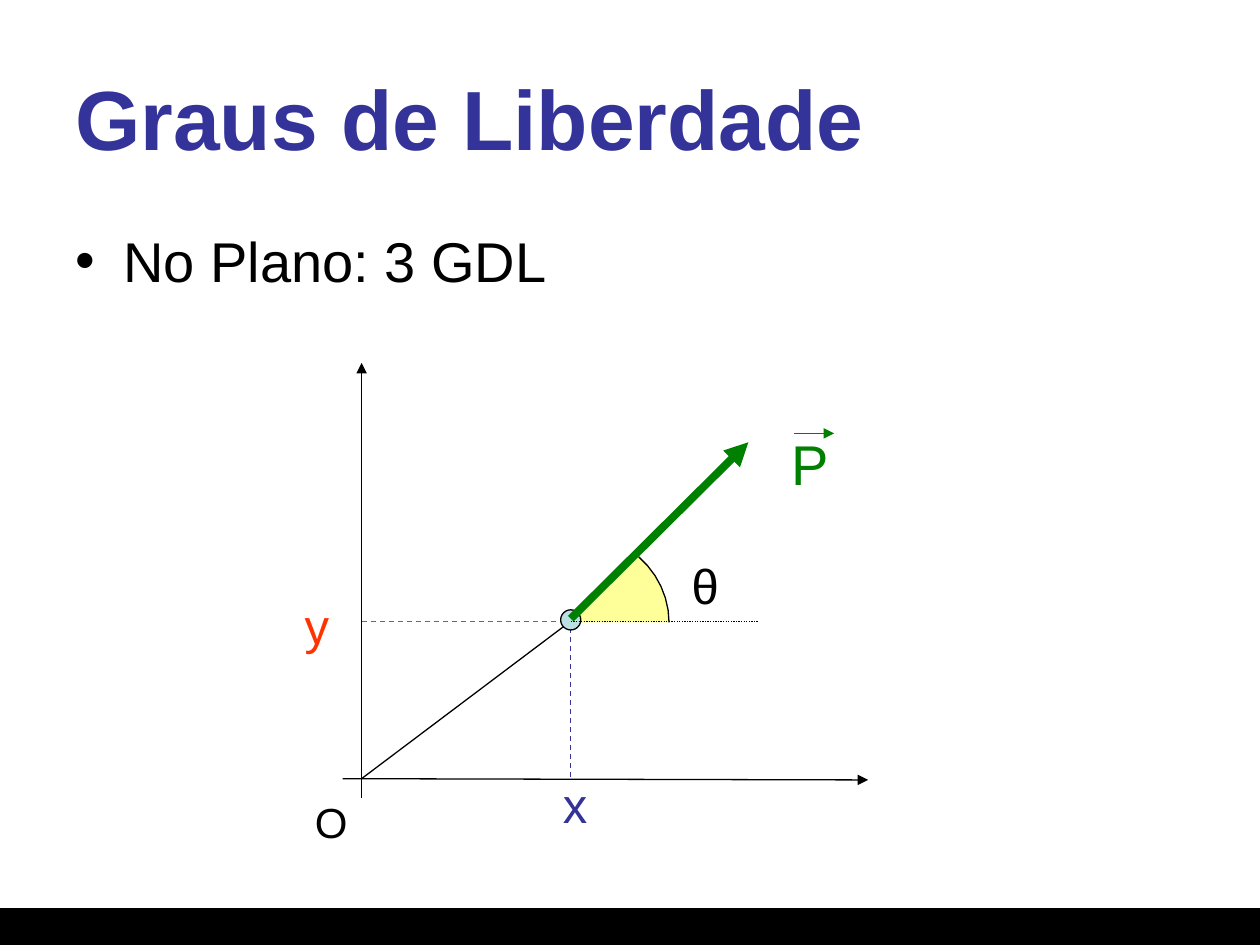
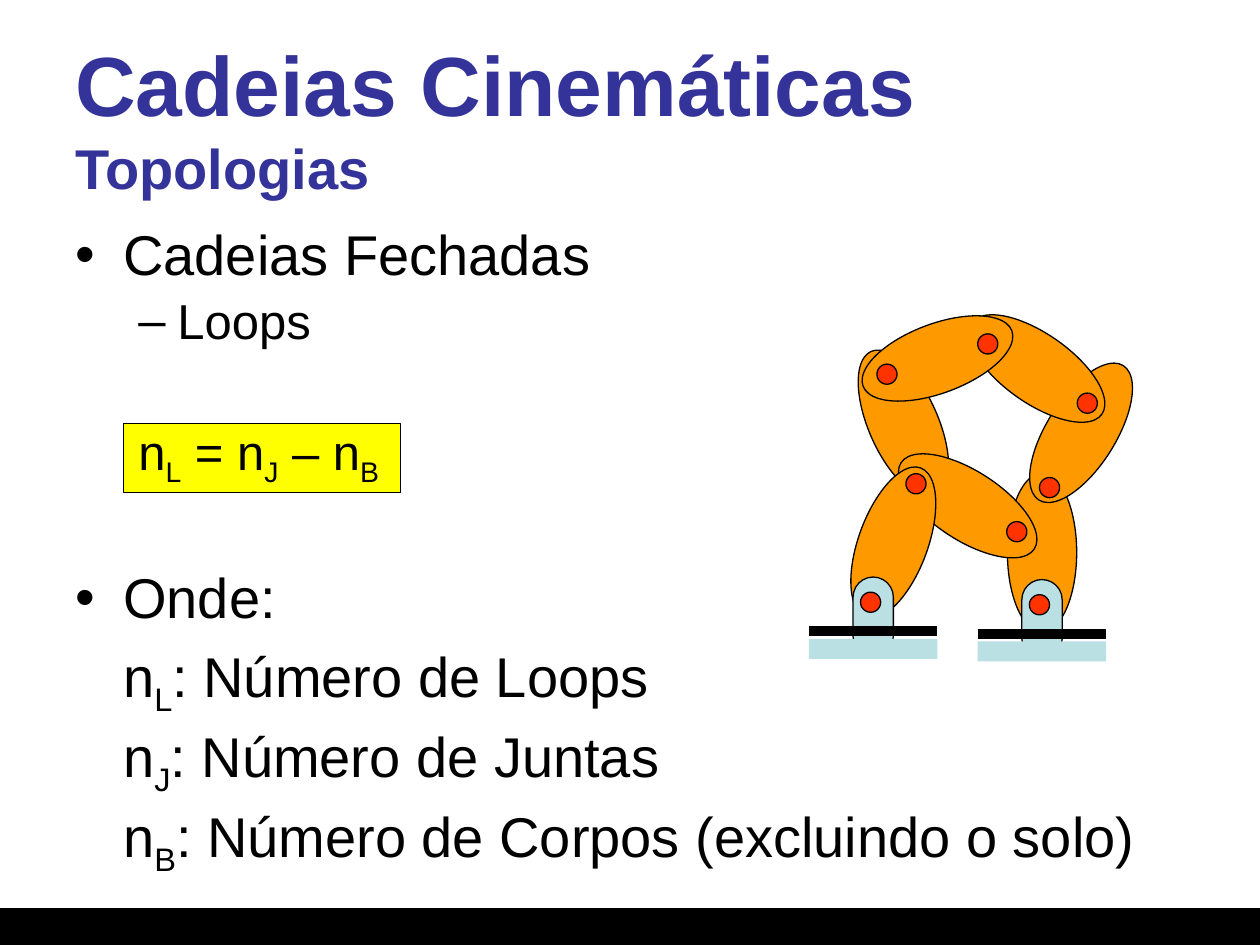
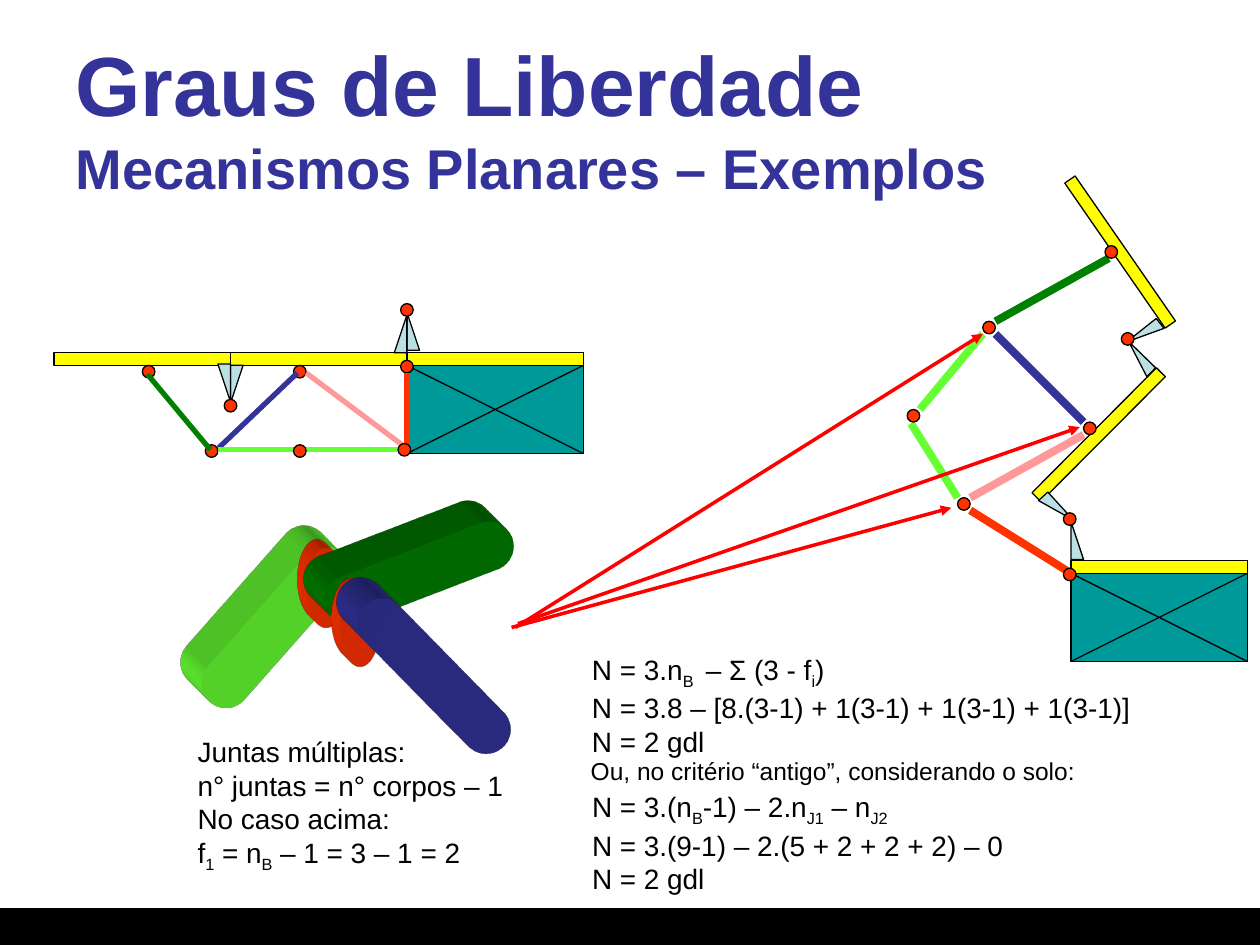
"""Builds three slides on degrees of freedom and kinematic chains."""
from lxml.etree import SubElement
from pptx import Presentation
from pptx.dml.color import RGBColor
from pptx.enum.dml import MSO_LINE
from pptx.enum.shapes import MSO_CONNECTOR, MSO_SHAPE
from pptx.enum.text import MSO_ANCHOR
from pptx.oxml.ns import qn
from pptx.util import Inches, Pt

FONT = "Arial"
BLACK, BLUE, RED, GREEN = "000000", "333399", "FF3300", "008000"
LIME, PINK, PALE, YELLOW = "66FF33", "FF9999", "BBE0E3", "FFFF00"
ORANGE, TEAL, ARROW_RED, SECTOR = "FF9900", "009999", "FF0000", "FFFF99"

AXES_LINES = [
    ((2.72, 6.18), (6.89, 6.19), {"arrow": True}),
    ((2.87, 6.33), (2.87, 2.88), {"arrow": True}),
    ((2.87, 6.18), (4.53, 4.93), {}),
]
PROJECTION_LINES = [
    ((2.87, 4.93), (4.53, 4.93), {"color": RED, "dash": MSO_LINE.DASH}),
    ((4.53, 4.91), (4.53, 6.17), {"color": BLUE, "dash": MSO_LINE.DASH}),
]
VECTOR_LINES = [
    ((4.53, 4.91), (5.94, 3.51), {"color": GREEN, "width": 4.5, "arrow": True}),
    ((4.53, 4.93), (6.02, 4.93), {"dash": MSO_LINE.ROUND_DOT}),
    ((6.3, 3.44), (6.62, 3.44), {"color": GREEN, "arrow": True}),
]
ANGLE_VERTEX = (4.53, 4.94)
ANGLE_CURVE = [(5.07, 4.42), (5.22, 4.55), (5.31, 4.74), (5.31, 4.94)]
AXES_LABELS = [
    ("x", (4.37, 6.1, 0.4, 0.57), 28, BLUE),
    ("y", (2.32, 4.68, 0.4, 0.57), 28, RED),
    ("θ", (5.39, 4.36, 0.4, 0.57), 28, BLACK),
    ("P", (6.18, 3.36, 0.5, 0.63), 32, GREEN),
    ("O", (2.4, 6.27, 0.46, 0.5), 24, BLACK),
]

CHAIN_TEXT = [
    ("Cadeias Fechadas", {"bullet": "•", "margin": 0.38, "hanging": 0.38}),
    ("Loops", {"bullet": "–", "margin": 0.81, "hanging": 0.31, "size": 28, "before": 5.4}),
    ("n~L~ = n~J~ – n~B~", {"margin": 0.5, "size": 28, "before": 41.4}),
    ("Onde:", {"bullet": "•", "margin": 0.38, "hanging": 0.38, "before": 50.3}),
    ("n~L~: Número de Loops", {"margin": 0.38, "before": 6.4}),
    ("n~J~: Número de Juntas", {"margin": 0.38, "before": 6.4}),
    ("n~B~: Número de Corpos (excluindo o solo)", {"margin": 0.38, "before": 6.4}),
]
CHAIN_PARTS = [
    ("body", 6.54, 3.09, 66), ("body", 7.64, 4.11, 90), ("base", 8.11, 4.6, 0),
    ("body", 7.95, 3.16, 122.1), ("body", 7.05, 3.74, 32.9),
    ("joint", 8.25, 3.79, 0), ("joint", 7.99, 4.14, 0),
    ("body", 6.46, 4.03, 290.1), ("joint", 7.19, 3.76, 0),
    ("body", 7.6, 2.65, 35.1), ("joint", 8.55, 3.12, 0),
    ("body", 6.81, 2.57, 159.6), ("base", 6.77, 4.58, 0),
    ("joint", 6.96, 2.89, 0), ("joint", 7.76, 2.65, 0),
]

FOLDED = {
    "ground": (8.5, 4.45),
    "plates": [(8.19, 1.95, 235.3), (8.02, 3.4, 314.9)],
    "hinges": [(8.5, 4.14, 0, ""), (8.33, 3.9, 137.6, ""),
               (8.98, 2.7, 314.2, "H"), (9.04, 2.51, 231.6, "H")],
    "lower_joints": [],
    "links": [((8.8, 2.05), (7.9, 2.55), GREEN), ((8.6, 3.35), (7.9, 2.65), BLUE),
              ((7.8, 2.65), (7.3, 3.25), LIME), ((8.5, 4.55), (7.7, 4.05), RED),
              ((7.6, 3.95), (7.23, 3.36), LIME), ((7.7, 3.95), (8.6, 3.45), PINK)],
    "link_width": 4.5,
    "upper_joints": [(8.44, 4.07), (8.9, 2.64), (8.77, 1.95), (8.6, 3.35),
                     (7.8, 2.55), (7.2, 3.25), (7.6, 3.95), (8.44, 4.51)],
}
EXTENDED = {
    "ground": (3.23, 2.8),
    "plates": [(1.83, 2.8, 0), (0.43, 2.8, 0)],
    "hinges": [(3.23, 2.48, 0, ""), (3.13, 2.5, 0, "H"),
               (1.83, 2.9, 0, "V"), (1.73, 2.89, 0, "HV")],
    "lower_joints": [(3.18, 2.41), (1.13, 2.9), (2.33, 2.9), (1.63, 3.53),
                     (3.18, 2.86), (1.78, 3.17)],
    "links": [((3.23, 2.96), (3.23, 3.56), RED), ((2.43, 2.96), (3.23, 3.56), PINK),
              ((1.17, 2.97), (1.67, 3.57), GREEN), ((1.73, 3.56), (2.36, 2.96), BLUE),
              ((1.73, 3.57), (3.23, 3.57), LIME)],
    "link_width": 3,
    "upper_joints": [(2.33, 3.53), (3.16, 3.52)],
}
BAR, PIN = MSO_SHAPE.ROUNDED_RECTANGLE, MSO_SHAPE.OVAL
SOLID_PARTS = [
    (BAR, (1.99, 4.19, 0.39, 1.57), 41.6, LIME),
    (PIN, (2.43, 4.35, 0.31, 0.63), 0, RED),
    (BAR, (3.13, 3.76, 0.39, 1.57), 68.9, GREEN),
    (PIN, (2.7, 4.66, 0.31, 0.63), 0, RED),
    (BAR, (3.25, 4.58, 0.39, 1.57), 135.6, BLUE),
]
SOLID_DEPTHS = {BAR: 0.47, PIN: 0.2}
MULTIPLE_ARROWS = [((4.11, 4.95), (8.57, 3.39)), ((4.06, 4.98), (7.55, 4.03)),
                   ((4.09, 4.98), (7.8, 2.65))]
CALCULATIONS = [
    ((4.6, 5.13, 4.54, 0.91), 16, ["N = 3.n~B ~ – Σ (3 - f~i~)",
     "N = 3.8 – [8.(3-1) + 1(3-1) + 1(3-1) + 1(3-1)]", "N = 2 gdl"]),
    ((1.47, 5.78, 2.66, 1.18), 16, ["Juntas múltiplas:", "n° juntas = n° corpos – 1",
     "No caso acima:", "f~1~ = n~B~ – 1 = 3 – 1 = 2"]),
    ((4.6, 6.22, 3.71, 0.91), 16, ["N = 3.(n~B~-1) – 2.n~J1~ – n~J2~",
     "N = 3.(9-1) – 2.(5 + 2 + 2 + 2) – 0", "N = 2 gdl"]),
    ((4.59, 5.95, 4.06, 0.34), 14, ["Ou, no critério “antigo”, considerando o solo:"]),
]


def rgb(value):
    return RGBColor.from_string(value)


def paint(shape, fill, line):
    shape.shadow.inherit = False
    if fill:
        shape.fill.solid()
        shape.fill.fore_color.rgb = rgb(fill)
    else:
        shape.fill.background()
    if line:
        shape.line.color.rgb = rgb(line)
        shape.line.width = Pt(0.75)
    else:
        shape.line.fill.background()


def add_box(slide, kind, at, fill, line=BLACK, rotation=0, flip=""):
    shape = slide.shapes.add_shape(kind, *map(Inches, at))
    paint(shape, fill, line)
    shape.rotation = rotation
    if kind == MSO_SHAPE.ROUNDED_RECTANGLE:
        shape.adjustments[0] = 0.5
    for axis in flip:
        shape._element.spPr.xfrm.set(f"flip{axis}", "1")
    return shape


def add_line(slide, start, end, color=BLACK, width=0.75, dash=None, arrow=False):
    connector = slide.shapes.add_connector(
        MSO_CONNECTOR.STRAIGHT, *map(Inches, (*start, *end)))
    connector.line.color.rgb = rgb(color)
    connector.line.width = Pt(width)
    if dash:
        connector.line.dash_style = dash
    if arrow:
        SubElement(connector.line._get_or_add_ln(), qn("a:tailEnd"), type="triangle")
    SubElement(connector._element.spPr, qn("a:effectLst"))


def add_lines(slide, lines):
    for start, end, options in lines:
        add_line(slide, start, end, **options)


def add_outline(slide, points, fill, line=None, closed=True):
    scaled = [(Inches(x), Inches(y)) for x, y in points]
    builder = slide.shapes.build_freeform(*scaled[0])
    builder.add_line_segments(scaled[1:], close=closed)
    paint(builder.convert_to_shape(), fill, line)


def write(paragraph, text, size=32, color=BLACK, bold=False, bullet=None,
          margin=0, hanging=0, before=0, spacing=None):
    properties = paragraph._p.get_or_add_pPr()
    properties.set("marL", str(Inches(margin)))
    properties.set("indent", str(-Inches(hanging)))
    if spacing:
        paragraph.line_spacing = spacing
    if before:
        paragraph.space_before = Pt(before)
    if bullet:
        SubElement(properties, qn("a:buFont"), typeface=FONT)
        SubElement(properties, qn("a:buChar"), char=bullet)
    paragraph.font.name, paragraph.font.size = FONT, Pt(size)
    for index, part in enumerate(text.split("~")):
        if not part:
            continue
        run = paragraph.add_run()
        run.text = part
        run.font.name, run.font.size, run.font.bold = FONT, Pt(size), bold
        run.font.color.rgb = rgb(color)
        if index % 2:
            run._r.get_or_add_rPr().set("baseline", "-25000")


def add_frame(slide, at, wrap):
    frame = slide.shapes.add_textbox(*map(Inches, at)).text_frame
    frame.word_wrap = wrap
    return frame


def add_text(slide, at, lines, wrap=False, **common):
    frame = add_frame(slide, at, wrap)
    for index, (text, options) in enumerate(lines):
        paragraph = frame.add_paragraph() if index else frame.paragraphs[0]
        write(paragraph, text, **{**common, **options})


def start_slide(presentation, title, subtitle=None):
    slide = presentation.slides.add_slide(presentation.slide_layouts[6])
    add_box(slide, MSO_SHAPE.RECTANGLE, (0, 7.21, 10, 0.29), BLACK)
    frame = add_frame(slide, (0.5, 0.3, 9, 1.25), True)
    frame.vertical_anchor = MSO_ANCHOR.MIDDLE
    paragraph = frame.paragraphs[0]
    write(paragraph, title, size=48, color=BLUE, bold=True)
    if subtitle:
        paragraph.add_line_break()
        write(paragraph, subtitle, size=32, color=BLUE, bold=True)
    return slide


def curve_point(controls, t):
    weights = ((1 - t) ** 3, 3 * t * (1 - t) ** 2, 3 * t * t * (1 - t), t ** 3)
    return tuple(sum(w * point[axis] for w, point in zip(weights, controls))
                 for axis in (0, 1))


def add_angle_sector(slide):
    arc = [curve_point(ANGLE_CURVE, step / 6) for step in range(7)]
    add_outline(slide, [ANGLE_VERTEX, *arc], SECTOR)
    add_outline(slide, arc, None, BLACK, closed=False)


def add_joint(slide, left, top, size):
    add_box(slide, MSO_SHAPE.OVAL, (left, top, size, size), RED)


def add_base(slide, left, top):
    add_box(slide, MSO_SHAPE.ROUNDED_RECTANGLE, (left, top, 0.32, 0.63), PALE)
    add_joint(slide, left + 0.06, top + 0.12, 0.16)
    floor_left, floor_top = left - 0.35, top + 0.43
    add_line(slide, (floor_left, floor_top), (floor_left + 1.02, floor_top), width=6)
    add_box(slide, MSO_SHAPE.RECTANGLE, (floor_left, top + 0.49, 1.02, 0.16), PALE, None)


def add_mechanism(slide, mechanism):
    left, top = mechanism["ground"]
    right, upper, lower = left + 1.4, top + 0.1, top + 0.8
    add_box(slide, MSO_SHAPE.RECTANGLE, (left, upper, 1.4, 0.7), TEAL)
    add_line(slide, (left, upper), (right, lower))
    add_line(slide, (left, lower), (right, upper))
    for x, y, rotation in [(left, top, 0), *mechanism["plates"]]:
        add_box(slide, MSO_SHAPE.RECTANGLE, (x, y, 1.4, 0.1), YELLOW, rotation=rotation)
    for x, y, rotation, flip in mechanism["hinges"]:
        add_box(slide, MSO_SHAPE.RIGHT_TRIANGLE, (x, y, 0.1, 0.3), PALE,
                rotation=rotation, flip=flip)
    for x, y in mechanism["lower_joints"]:
        add_joint(slide, x, y, 0.1)
    for start, end, color in mechanism["links"]:
        add_line(slide, start, end, color, mechanism["link_width"])
    for x, y in mechanism["upper_joints"]:
        add_joint(slide, x, y, 0.1)


def extrude(shape, depth, color):
    properties = shape._element.spPr
    scene = SubElement(properties, qn("a:scene3d"))
    SubElement(scene, qn("a:camera"), prst="legacyObliqueTopLeft")
    SubElement(scene, qn("a:lightRig"), rig="legacyFlat3", dir="b")
    solid = SubElement(properties, qn("a:sp3d"), extrusionH=str(Inches(depth)),
                       prstMaterial="legacyMatte")
    SubElement(SubElement(solid, qn("a:extrusionClr")), qn("a:srgbClr"), val=color)


def build_plane(presentation):
    slide = start_slide(presentation, "Graus de Liberdade")
    add_text(slide, (0.5, 1.75, 9, 0.82), [("No Plano: 3 GDL", {})], wrap=True,
             bullet="•", margin=0.38, hanging=0.38)
    add_lines(slide, AXES_LINES)
    add_angle_sector(slide)
    add_lines(slide, PROJECTION_LINES)
    add_box(slide, MSO_SHAPE.OVAL, (4.45, 4.84, 0.16, 0.16), PALE)
    add_lines(slide, VECTOR_LINES)
    for text, at, size, color in AXES_LABELS:
        add_text(slide, at, [(text, {})], size=size, color=color)


def build_chain(presentation):
    slide = start_slide(presentation, "Cadeias Cinemáticas", "Topologias")
    add_box(slide, MSO_SHAPE.RECTANGLE, (0.98, 3.36, 2.2, 0.55), YELLOW)
    add_text(slide, (0.5, 1.75, 9, 5.2), CHAIN_TEXT, wrap=True, spacing=0.9)
    for kind, left, top, rotation in CHAIN_PARTS:
        if kind == "body":
            add_box(slide, MSO_SHAPE.OVAL, (left, top, 1.26, 0.55), ORANGE,
                    rotation=rotation)
        elif kind == "joint":
            add_joint(slide, left, top, 0.16)
        else:
            add_base(slide, left, top)


def build_examples(presentation):
    slide = start_slide(presentation, "Graus de Liberdade",
                        "Mecanismos Planares – Exemplos")
    for mechanism in (FOLDED, EXTENDED):
        add_mechanism(slide, mechanism)
    for kind, at, rotation, color in SOLID_PARTS:
        shape = add_box(slide, kind, at, color, None, rotation)
        extrude(shape, SOLID_DEPTHS[kind], color)
    for start, end in MULTIPLE_ARROWS:
        add_line(slide, start, end, ARROW_RED, 2, arrow=True)
    for at, size, lines in CALCULATIONS:
        add_text(slide, at, [(line, {}) for line in lines], size=size)


def main():
    presentation = Presentation()
    presentation.slide_width, presentation.slide_height = Inches(10), Inches(7.5)
    build_plane(presentation)
    build_chain(presentation)
    build_examples(presentation)
    presentation.save("out.pptx")


if __name__ == "__main__":
    main()
